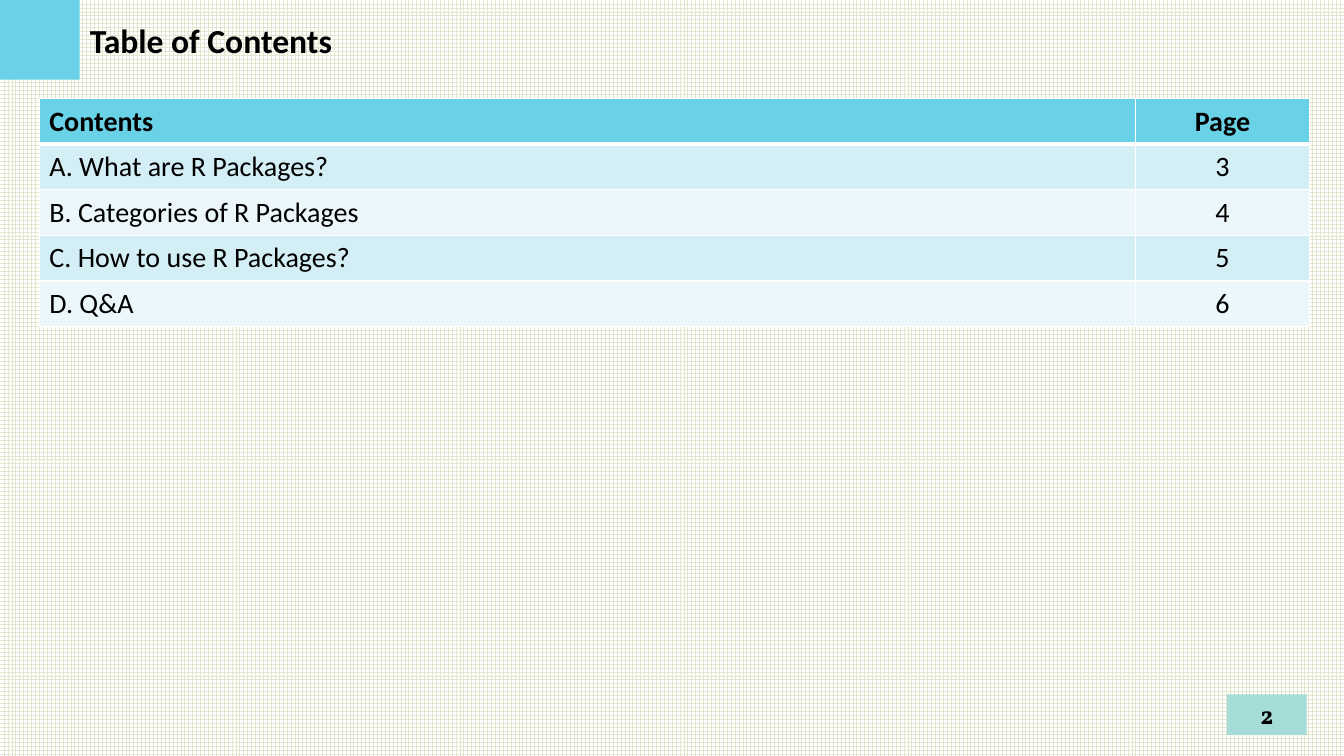
"""Build the table of contents slide."""
import pptx
import pptx.util
import pptx.dml.color
import pptx.enum.dml
import pptx.enum.shapes
import pptx.enum.text
import pptx.oxml

Inches = pptx.util.Inches
Color = pptx.dml.color.RGBColor
Align = pptx.enum.text.PP_ALIGN
Middle = pptx.enum.text.MSO_ANCHOR.MIDDLE
BLACK = Color(0x00, 0x00, 0x00)
WHITE = Color(0xFF, 0xFF, 0xFF)
GRID = Color(0xE1, 0xE6, 0xCD)
CYAN = Color(0x69, 0xD2, 0xE6)
TEAL = Color(0xA5, 0xDC, 0xD7)
BANDS = [Color(0xEB, 0xF7, 0xFA), Color(0xD4, 0xEE, 0xF5)]
NS = "http://schemas.openxmlformats.org/drawingml/2006/main"


def write(frame, text, align, size, bold=True, name="Calibri"):
    frame.text = text
    line = frame.paragraphs[0]
    line.alignment = align
    font = line.runs[0].font
    style = {"size": pptx.util.Pt(size), "bold": bold, "name": name}
    for key, value in style.items():
        setattr(font, key, value)
    font.color.rgb = BLACK


def block(left, top, width, height, color):
    shape = slide.shapes.add_shape(
        pptx.enum.shapes.MSO_SHAPE.RECTANGLE,
        Inches(left), Inches(top), Inches(width), Inches(height))
    shape.shadow.inherit = False
    shape.fill.solid()
    shape.fill.fore_color.rgb = color
    shape.line.fill.background()
    return shape


deck = pptx.Presentation()
deck.slide_width, deck.slide_height = Inches(13.33), Inches(7.5)
slide = deck.slides.add_slide(deck.slide_layouts[5])

back = slide.background.fill
back.patterned()
back.pattern = pptx.enum.dml.MSO_PATTERN.LARGE_GRID
back.fore_color.rgb = GRID
back.back_color.rgb = WHITE

badge = block(12.17, 6.89, 0.79, 0.4, TEAL)
frame = badge.text_frame
frame.vertical_anchor = Middle
for side in ("left", "top", "right", "bottom"):
    setattr(frame, f"margin_{side}", Inches(0.08))
write(frame, "2", Align.CENTER, 18, name="Vollkorn")

block(0, 0, 0.79, 0.79, CYAN)

title = slide.shapes.title
place = {"left": 0.79, "top": 0, "width": 7.62, "height": 0.79}
for key, value in place.items():
    setattr(title, key, Inches(value))
title.text_frame.vertical_anchor = Middle
title.text_frame.auto_size = pptx.enum.text.MSO_AUTO_SIZE.NONE
write(title.text_frame, "Table of Contents", Align.LEFT, 24)

rows = [
    ("Contents", "Page"),
    ("A. What are R Packages?", "3"),
    ("B. Categories of R Packages", "4"),
    ("C. How to use R Packages?", "5"),
    ("D. Q&A", "6"),
]
table = slide.shapes.add_table(
    len(rows), 2, Inches(0.39), Inches(0.98),
    Inches(12.6), Inches(2.26)).table
for col, width in zip(table.columns, (10.87, 1.73)):
    col.width = Inches(width)

for r, row in enumerate(rows):
    for c, text in enumerate(row):
        cell = table.cell(r, c)
        cell.vertical_anchor = Middle
        cell.fill.solid()
        cell.fill.fore_color.rgb = BANDS[r % 2] if r else CYAN
        write(cell.text_frame, text, (Align.LEFT, Align.CENTER)[c], 20, r == 0)
        props = cell._tc.get_or_add_tcPr()
        for i, side in enumerate("LRTB"):
            thick = (side, r) in (("B", 0), ("T", 1))
            width = pptx.util.Pt(3 if thick else 1)
            props.insert(i, pptx.oxml.parse_xml(
                f'<a:ln{side} xmlns:a="{NS}" w="{width}"><a:solidFill>'
                f'<a:srgbClr val="{WHITE}"/></a:solidFill></a:ln{side}>'))

deck.save("out.pptx")
